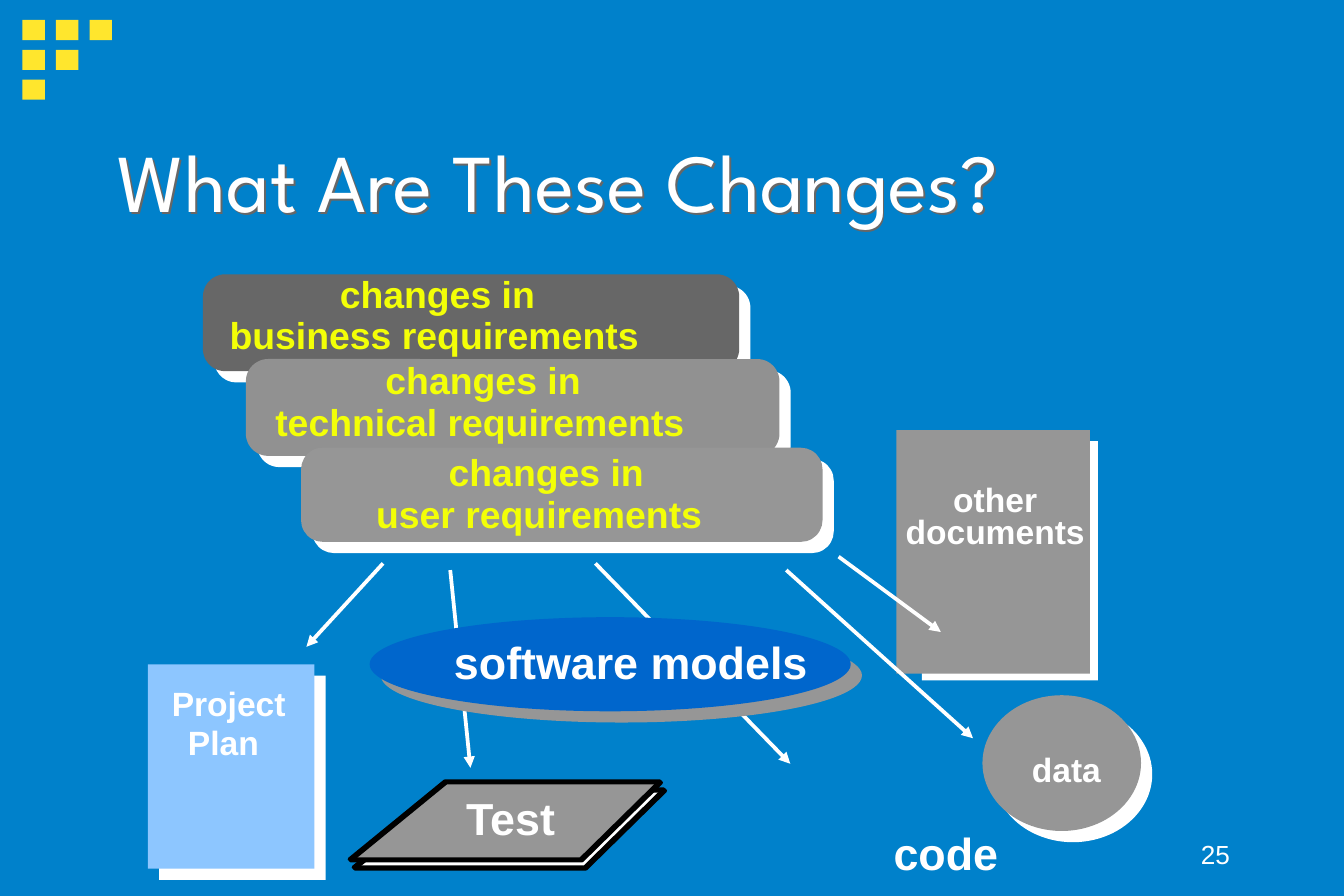
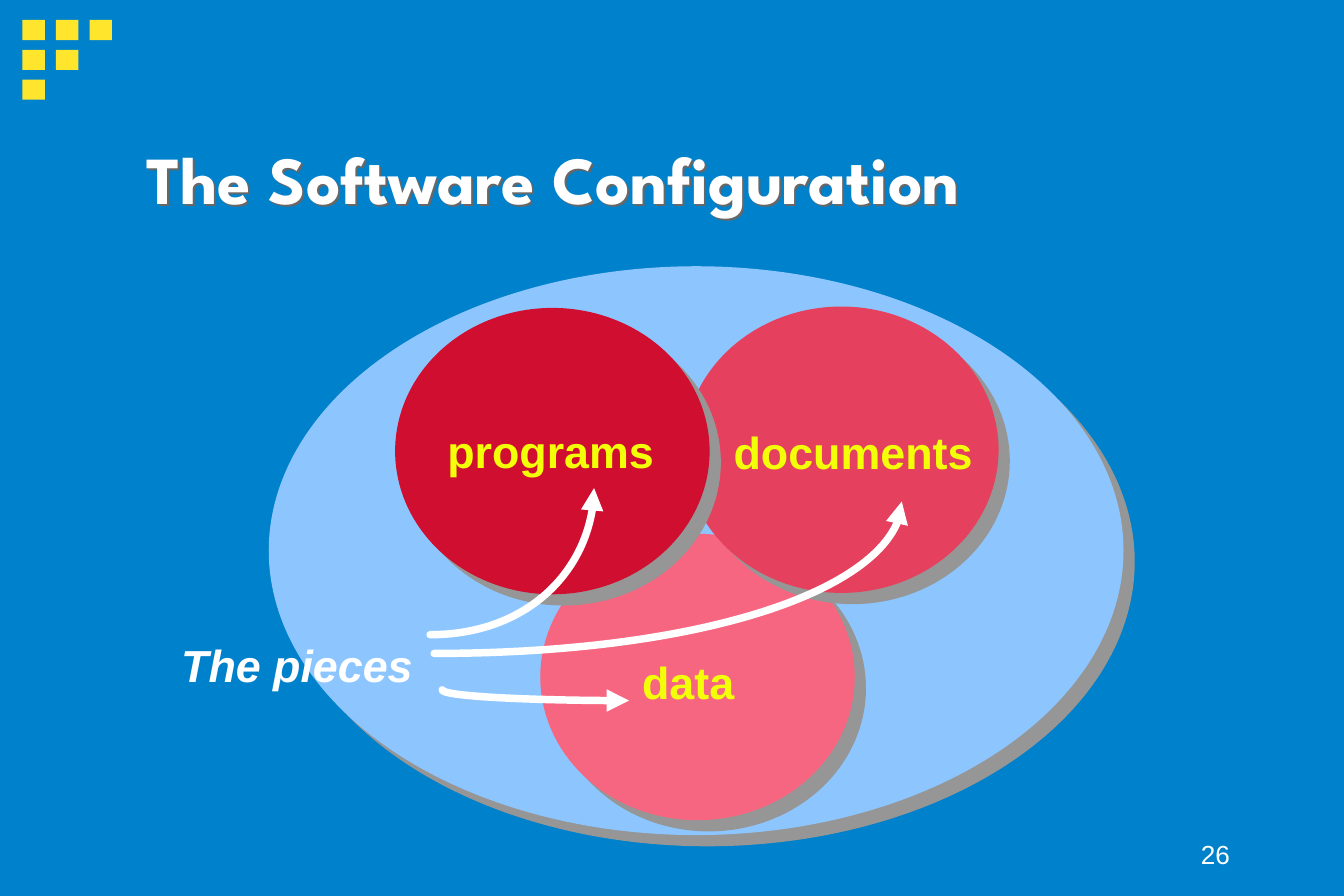
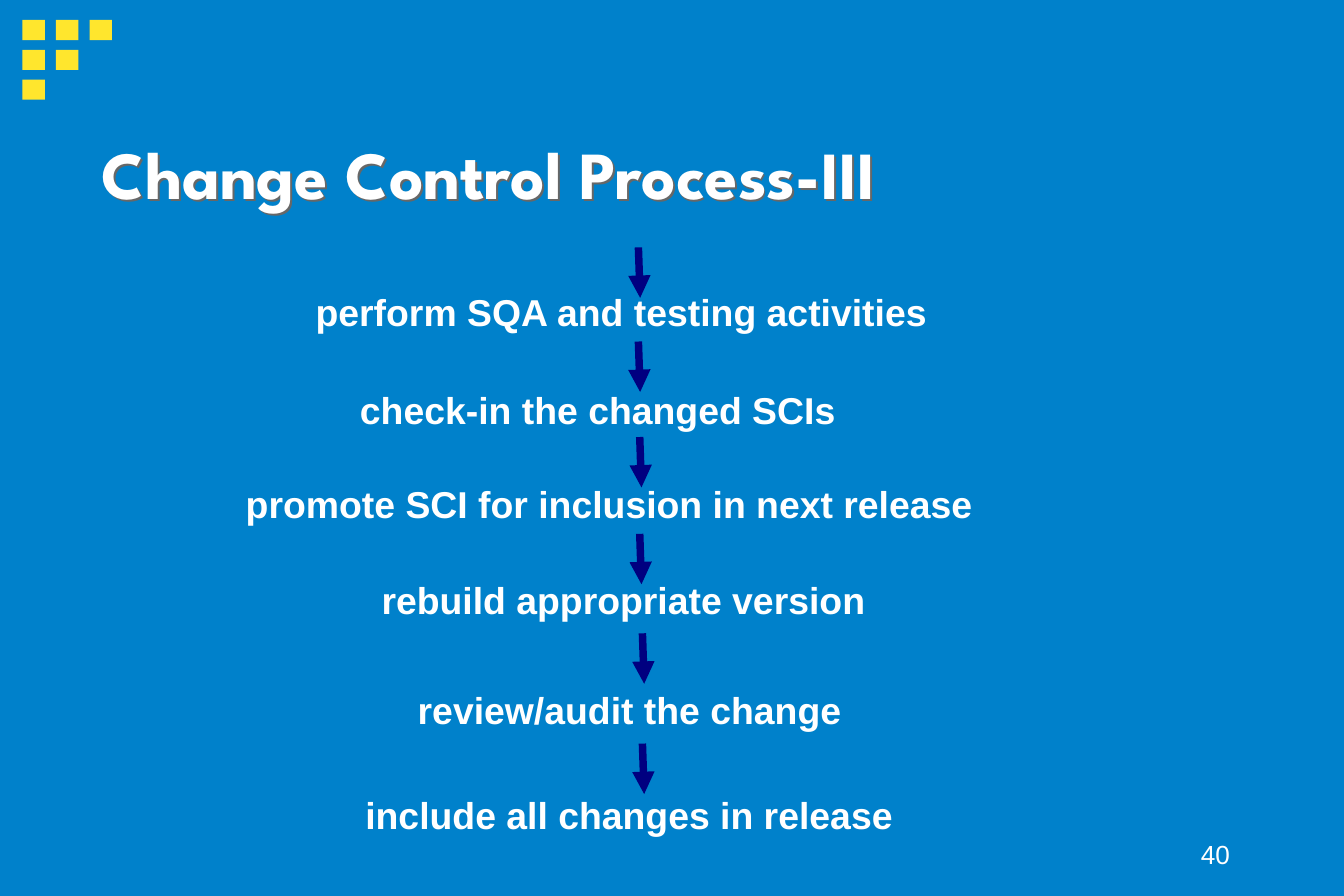
from dataclasses import dataclass

from lxml.etree import SubElement
from pptx import Presentation
from pptx.dml.color import RGBColor
from pptx.enum.shapes import MSO_CONNECTOR, MSO_SHAPE
from pptx.enum.text import MSO_ANCHOR, MSO_AUTO_SIZE, PP_ALIGN
from pptx.oxml import parse_xml
from pptx.oxml.ns import nsdecls, qn
from pptx.util import Emu, Pt

# The grid: 100 columns across and 66.63 rows down
COLUMNS, ROWS = 100, 66.63
SLIDE_WIDTH, SLIDE_HEIGHT = Emu(9144000), Emu(6092825)

BLUE, NAVY, ROYAL, SKY = "0081CB", "000080", "0066CC", "8DC6FF"
WHITE, BLACK, GREY, DARK_GREY, MID_GREY = "FFFFFF", "000000", "969696", "676767", "919191"
GOLD, YELLOW = "FFE62D", "F3FF07"
CRIMSON, ROSE, PINK = "CF0E30", "E5405D", "F76681"
BODY_FONT, TITLE_FONT = "Arial", "League Spartan"

Point = tuple[float, float]


@dataclass
class Block:
    left: float
    top: float
    width: float
    height: float
    fill: str
    shadow: str | None = None
    kind: MSO_SHAPE = MSO_SHAPE.OVAL


@dataclass
class Label:
    text: str
    left: float
    top: float
    width: float
    height: float
    size: int = 24
    color: str = WHITE
    font: str = BODY_FONT
    bold: bool = True
    italic: bool = False
    align: PP_ALIGN = PP_ALIGN.LEFT
    anchor: MSO_ANCHOR = MSO_ANCHOR.TOP
    line_spacing: float | None = None
    wrap: bool = False


@dataclass
class Arrow:
    start: Point
    end: Point
    color: str = WHITE
    weight: float = 2


@dataclass
class Curve:
    """A quarter ellipse from its arrow tip to its tail, bent towards a corner."""
    tip: Point
    corner: Point
    tail: Point


@dataclass
class Step:
    label: Label
    arrow_left: float
    arrow_top: float


def across(columns: float) -> Emu:
    return Emu(round(SLIDE_WIDTH * columns / COLUMNS))


def down(rows: float) -> Emu:
    return Emu(round(SLIDE_HEIGHT * rows / ROWS))


def place(item: Block | Label) -> tuple[Emu, Emu, Emu, Emu]:
    return across(item.left), down(item.top), across(item.width), down(item.height)


def rgb(color: str) -> RGBColor:
    return RGBColor.from_string(color)


def cast_shadow(shape, color: str, distance: float) -> None:
    """Give the shape a hard shadow towards its lower right."""
    shape.shadow.inherit = False
    properties = shape._element.spPr
    properties.replace(properties.find(qn("a:effectLst")), parse_xml(
        f'<a:effectLst {nsdecls("a")}><a:outerShdw blurRad="0" dist="{Pt(distance)}" '
        f'dir="2700000" algn="ctr" rotWithShape="0"><a:srgbClr val="{color}"/>'
        "</a:outerShdw></a:effectLst>"
    ))


def draw_block(slide, block: Block) -> None:
    shape = slide.shapes.add_shape(block.kind, *place(block))
    shape.shadow.inherit = False
    shape.fill.solid()
    shape.fill.fore_color.rgb = rgb(block.fill)
    shape.line.fill.background()
    if block.kind == MSO_SHAPE.ROUNDED_RECTANGLE:
        shape.adjustments[0] = 0.23
    if block.shadow:
        cast_shadow(shape, block.shadow, 8.5)


def draw_label(slide, label: Label):
    box = slide.shapes.add_textbox(*place(label))
    frame = box.text_frame
    frame.word_wrap = label.wrap
    frame.auto_size = MSO_AUTO_SIZE.NONE if label.wrap else MSO_AUTO_SIZE.SHAPE_TO_FIT_TEXT
    frame.vertical_anchor = label.anchor
    frame.text = label.text
    for paragraph in frame.paragraphs:
        paragraph.alignment = label.align
        paragraph.line_spacing = label.line_spacing
        font = paragraph.font
        font.name, font.size = label.font, Pt(label.size)
        font.bold, font.italic = label.bold, label.italic
        font.color.rgb = rgb(label.color)
    return box


def draw_arrow(slide, arrow: Arrow) -> None:
    (x1, y1), (x2, y2) = arrow.start, arrow.end
    connector = slide.shapes.add_connector(
        MSO_CONNECTOR.STRAIGHT, across(x1), down(y1), across(x2), down(y2))
    connector.line.color.rgb = rgb(arrow.color)
    connector.line.width = Pt(arrow.weight)
    SubElement(connector.line._get_or_add_ln(), qn("a:tailEnd"), type="triangle")
    SubElement(connector._element.spPr, qn("a:effectLst"))


def draw_outline(slide, points: list[Point], color: str, weight: float,
                 fill: str | None = None, close: bool = True):
    first, *others = [(across(x), down(y)) for x, y in points]
    builder = slide.shapes.build_freeform(*first, scale=1.0)
    builder.add_line_segments(others, close=close)
    shape = builder.convert_to_shape()
    shape.shadow.inherit = False
    if fill:
        shape.fill.solid()
        shape.fill.fore_color.rgb = rgb(fill)
    else:
        shape.fill.background()
    shape.line.color.rgb = rgb(color)
    shape.line.width = Pt(weight)
    return shape


def draw_curve(slide, curve: Curve) -> None:
    def control(point: Point) -> Point:
        return tuple(p + 0.55 * (c - p) for p, c in zip(point, curve.corner))

    points = [curve.tip, control(curve.tip), control(curve.tail), curve.tail]
    shape = draw_outline(slide, points, WHITE, 4, close=False)
    outline = next(shape._element.iter(qn("a:path")))
    segments = outline.findall(qn("a:lnTo"))
    bezier = SubElement(outline, qn("a:cubicBezTo"))
    for segment in segments:
        bezier.append(segment[0])
        outline.remove(segment)
    line = shape.line._get_or_add_ln()
    line.set("cap", "rnd")
    SubElement(line, qn("a:round"))
    SubElement(line, qn("a:headEnd"), type="triangle")


def start_slide(presentation, title: Label, number: int):
    """Add a slide with the corner squares, the title and the slide number."""
    slide = presentation.slides.add_slide(presentation.slide_layouts[6])
    for row in range(3):
        for column in range(3 - row):
            draw_block(slide, Block(1.67 + 2.5 * column, 1.48 + 2.22 * row, 1.67, 1.5,
                                    GOLD, kind=MSO_SHAPE.RECTANGLE))
    draw_label(slide, Label(str(number), 71.7, 60.8, 20.8, 4.4, 14, bold=False,
                            align=PP_ALIGN.RIGHT, anchor=MSO_ANCHOR.BOTTOM, wrap=True))
    cast_shadow(draw_label(slide, title), DARK_GREY, 1.5)
    return slide


def title_label(text: str, left: float, top: float, width: float, height: float,
                size: int = 36, bold: bool = True) -> Label:
    return Label(text, left, top, width, height, size, font=TITLE_FONT, bold=bold,
                 anchor=MSO_ANCHOR.MIDDLE, wrap=True)


def requirement_line(text: str, left: float, top: float, width: float) -> Label:
    return Label(text, left, top, width, 4.3, 20, YELLOW)


def build_changes(presentation) -> None:
    slide = start_slide(presentation, title_label(
        "What Are These Changes?", 7.8, 12.1, 78.4, 2.5, size=44, bold=False), 25)
    rounded, rectangle = MSO_SHAPE.ROUNDED_RECTANGLE, MSO_SHAPE.RECTANGLE

    requirements = [
        (Block(15.1, 20.4, 39.9, 7.2, DARK_GREY, WHITE, rounded),
         requirement_line("changes in", 24.3, 19.7, 17.3),
         requirement_line("business requirements", 16.1, 22.7, 32.5)),
        (Block(18.3, 26.7, 39.7, 7.2, MID_GREY, WHITE, rounded),
         requirement_line("changes in", 27.7, 26.1, 17.3),
         requirement_line("technical requirements", 19.5, 29.2, 32.5)),
        (Block(22.4, 33.3, 38.8, 7, GREY, WHITE, rounded),
         requirement_line("changes in", 32.4, 32.9, 17.3),
         requirement_line("user requirements", 27, 36, 26.4)),
    ]
    for block, *lines in requirements:
        draw_block(slide, block)
        for line in lines:
            draw_label(slide, line)

    sheet = [(7.1, 0), (0, 5.8), (17.2, 5.8), (23.1, 0)]
    sheet_layers = [(26.4, 58.8, WHITE), (26.3, 58.7, None), (26.1, 58.2, GREY), (26, 58.1, None)]
    for left, top, fill in sheet_layers:
        draw_outline(slide, [(left + x, top + y) for x, y in sheet], BLACK, 2, fill)

    for block in [
        Block(73.1, 51.7, 11.8, 10.1, GREY, WHITE),
        Block(68.6, 32.8, 13.1, 17.8, WHITE, kind=rectangle),
        Block(68.6, 34.9, 12.4, 15.1, WHITE, kind=rectangle),
        Block(66.7, 32, 14.4, 18.1, GREY, kind=rectangle),
        Block(11, 49.4, 12.4, 15.2, SKY, WHITE, rectangle),
    ]:
        draw_block(slide, block)

    for start, end in [
        ((28.5, 41.9), (22.8, 48.1)),
        ((33.5, 42.4), (35, 57.1)),
        ((44.3, 41.9), (58.8, 56.8)),
        ((62.4, 41.4), (70, 47)),
        ((58.5, 42.4), (72.4, 54.9)),
    ]:
        draw_arrow(slide, Arrow(start, end))
    draw_block(slide, Block(27.5, 45.9, 35.8, 7, ROYAL, GREY))

    for label in [
        Label("data", 75.8, 55.2, 7.3, 4, 18),
        Label("other\ndocuments", 66.3, 35.7, 15.5, 5.8, 18,
              align=PP_ALIGN.CENTER, line_spacing=0.8),
        Label("code", 65.5, 60.9, 9.9, 5),
        Label("Test", 33.7, 58.3, 8.9, 5),
        Label("Project", 11.8, 50.3, 10.6, 4, 18),
        Label("Plan", 13, 53.2, 7.4, 4, 18),
        Label("software models", 32.8, 46.7, 28.4, 5),
    ]:
        draw_label(slide, label)


def build_configuration(presentation) -> None:
    slide = start_slide(presentation, title_label(
        "The Software Configuration", 9.9, 10.6, 80.9, 5.2), 26)
    draw_block(slide, Block(20, 19.8, 63.6, 42.3, SKY, GREY))
    for left, top, fill in [(40.2, 39.7, PINK), (50.9, 22.8, ROSE), (29.4, 22.9, CRIMSON)]:
        draw_block(slide, Block(left, top, 23.4, 21.3, fill, GREY))
    for label in [
        Label("programs", 32.3, 31, 17.4, 5, color=YELLOW),
        Label("documents", 53.6, 31.1, 19.8, 5, color=YELLOW),
        Label("data", 46.8, 48.2, 9, 5, color=YELLOW),
        Label("The pieces", 12.5, 46.9, 19.2, 5, italic=True),
    ]:
        draw_label(slide, label)
    for curve in [
        Curve(tip=(46.8, 52.1), corner=(32.9, 52.1), tail=(32.9, 51.3)),
        Curve(tip=(67.1, 37.3), corner=(67.1, 48.6), tail=(32.3, 48.6)),
        Curve(tip=(44.2, 36.3), corner=(44.2, 47.2), tail=(32, 47.2)),
    ]:
        draw_curve(slide, curve)


def build_process(presentation) -> None:
    slide = start_slide(presentation, title_label(
        "Change Control Process-III", 6.6, 9, 79.6, 7.7), 40)

    def step(text: str, left: float, top: float, width: float,
             arrow_left: float, arrow_top: float) -> Step:
        return Step(Label(text, left, top, width, 4.3, 20), arrow_left, arrow_top)

    for item in [
        step("perform SQA and testing activities", 22.5, 21, 47.7, 47.5, 18.4),
        step("check-in the changed SCIs", 25.8, 28.3, 37.5, 47.5, 25.4),
        step("promote SCI for inclusion in next release", 17.3, 35.3, 56.2, 47.6, 32.5),
        step("rebuild appropriate version", 27.4, 42.4, 38.2, 47.6, 39.7),
        step("review/audit the change", 30.1, 50.6, 33.7, 47.8, 47.1),
        step("include all changes in release", 26.2, 58.4, 41.4, 47.8, 55.3),
    ]:
        draw_label(slide, item.label)
        x, y = item.arrow_left, item.arrow_top
        draw_arrow(slide, Arrow((x, y), (x + 0.13, y + 3.75), NAVY, 4))


def main() -> None:
    presentation = Presentation()
    presentation.slide_width, presentation.slide_height = SLIDE_WIDTH, SLIDE_HEIGHT
    background = presentation.slide_master.background.fill
    background.solid()
    background.fore_color.rgb = rgb(BLUE)
    build_changes(presentation)
    build_configuration(presentation)
    build_process(presentation)
    presentation.save("out.pptx")


if __name__ == "__main__":
    main()
